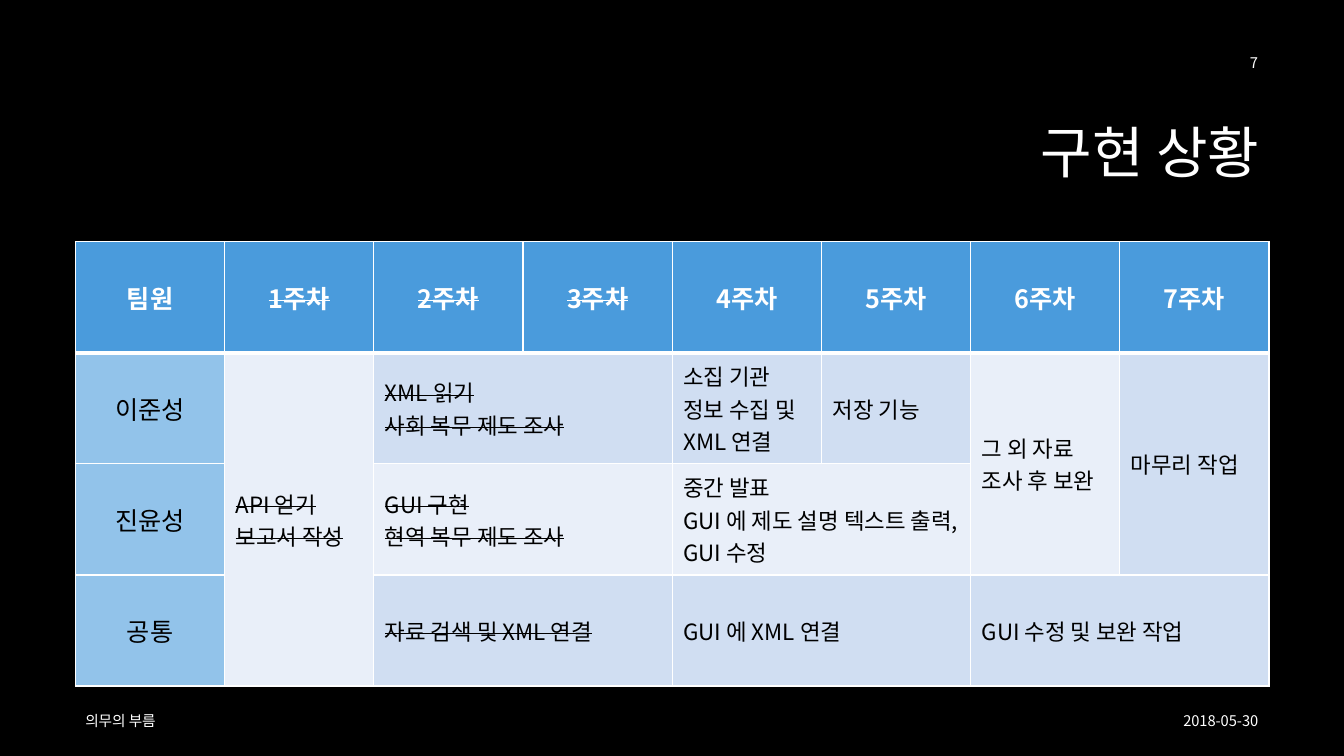
from lxml import etree
from pptx import Presentation
from pptx import util as u
from pptx.dml.color import RGBColor
from pptx.enum import text
from pptx.oxml.ns import qn

FONT = "Noto Sans CJK KR"
COLORS = {
    "background": "000000", "white": "FFFFFF", "black": "000000",
    "header": "4A9BDC", "member": "92C3EA", "light": "E9EFF9", "medium": "D0DEF2",
}
LEFT, RIGHT = text.PP_ALIGN.LEFT, text.PP_ALIGN.RIGHT
CENTER = text.PP_ALIGN.CENTER

CAPTIONS = [
    ("구현 상황", 40, RIGHT, (8.05, 2.13, 23.93, 3.58)),
    ("2018-05-30", 10.5, RIGHT, (23.88, 17.65, 8.08, 1.02)),
    ("의무의 부름", 10.5, LEFT, (1.9, 17.65, 21.59, 1.02)),
    ("7", 10.5, RIGHT, (24.33, 1.07, 7.62, 1.02)),
]
WEEKS = 7
DONE_WEEKS = 3
MEMBERS = ["이준성", "진윤성", "공통"]
TASKS = [
    (1, 1, 3, 1, "light", "API 얻기\n보고서 작성"),
    (1, 2, 1, 2, "medium", "XML 읽기\n사회 복무 제도 조사"),
    (1, 4, 1, 1, "medium", "소집 기관 정보 수집 및 XML 연결"),
    (1, 5, 1, 1, "medium", "저장 기능"),
    (1, 6, 2, 1, "light", "그 외 자료 조사 후 보완"),
    (1, 7, 2, 1, "medium", "마무리 작업"),
    (2, 2, 1, 2, "light", "GUI 구현\n현역 복무 제도 조사"),
    (2, 4, 1, 2, "light", "중간 발표\nGUI 에 제도 설명 텍스트 출력, GUI 수정"),
    (3, 2, 1, 2, "medium", "자료 검색 및 XML 연결"),
    (3, 4, 1, 2, "medium", "GUI 에 XML 연결"),
    (3, 6, 1, 2, "medium", "GUI 수정 및 보완 작업"),
]
TABLE_LEFT, TABLE_TOP = 1.9, 6.09
COLUMN_WIDTH, ROW_HEIGHT = 3.76, 2.8


def color(name):
    return RGBColor.from_string(COLORS[name])


def write(frame, words, size, ink, align, bold=False, strike=False):
    frame.text = words
    for paragraph in frame.paragraphs:
        paragraph.alignment = align
        for run in paragraph.runs:
            run.font.size = u.Pt(size)
            run.font.name = FONT
            run.font.bold = bold
            run.font.color.rgb = color(ink)
            properties = run._r.get_or_add_rPr()
            etree.SubElement(properties, qn("a:ea"), typeface=FONT)
            if strike:
                properties.set("strike", "sngStrike")


def add_borders(cell, row):
    properties = cell._tc.get_or_add_tcPr()
    heavy = {0: "lnB", 1: "lnT"}.get(row)
    for side in ("lnL", "lnR", "lnT", "lnB"):
        width = u.Pt(3 if side == heavy else 1)
        line = etree.SubElement(properties, qn("a:" + side), w=str(width))
        fill = etree.SubElement(line, qn("a:solidFill"))
        etree.SubElement(fill, qn("a:srgbClr"), val=COLORS["white"])


def fill_cell(row, column, fill, words, size, ink, align, bold=False):
    cell = table.cell(row, column)
    cell.vertical_anchor = text.MSO_ANCHOR.MIDDLE
    cell.margin_left = cell.margin_right = u.Cm(0.28)
    cell.fill.solid()
    cell.fill.fore_color.rgb = color(fill)
    strike = 1 <= column <= DONE_WEEKS
    write(cell.text_frame, words, size, ink, align, bold, strike)


presentation = Presentation()
presentation.slide_width = u.Cm(33.87)
presentation.slide_height = u.Cm(19.05)
slide = presentation.slides.add_slide(presentation.slide_layouts[6])
slide.background.fill.solid()
slide.background.fill.fore_color.rgb = color("background")

for words, size, align, place in CAPTIONS:
    frame = slide.shapes.add_textbox(*map(u.Cm, place)).text_frame
    frame.word_wrap = True
    frame.vertical_anchor = text.MSO_ANCHOR.MIDDLE
    write(frame, words, size, "white", align)
    if size == 40:
        frame.paragraphs[0].line_spacing = 0.9

rows, columns = len(MEMBERS) + 1, WEEKS + 1
table = slide.shapes.add_table(
    rows, columns, u.Cm(TABLE_LEFT), u.Cm(TABLE_TOP),
    u.Cm(COLUMN_WIDTH * columns), u.Cm(ROW_HEIGHT * rows),
).table
for column in table.columns:
    column.width = u.Cm(COLUMN_WIDTH)
for index, row in enumerate(table.rows):
    row.height = u.Cm(ROW_HEIGHT)
    for cell in row.cells:
        add_borders(cell, index)

headers = ["팀원"] + [f"{week}주차" for week in range(1, WEEKS + 1)]
for column, words in enumerate(headers):
    fill_cell(0, column, "header", words, 18, "white", CENTER, bold=True)
for row, name in enumerate(MEMBERS, 1):
    fill_cell(row, 0, "member", name, 18, "black", CENTER)
for row, column, height, width, fill, words in TASKS:
    if height * width > 1:
        table.cell(row, column).merge(table.cell(row + height - 1, column + width - 1))
    fill_cell(row, column, fill, words, 16, "black", LEFT)

presentation.save("out.pptx")
